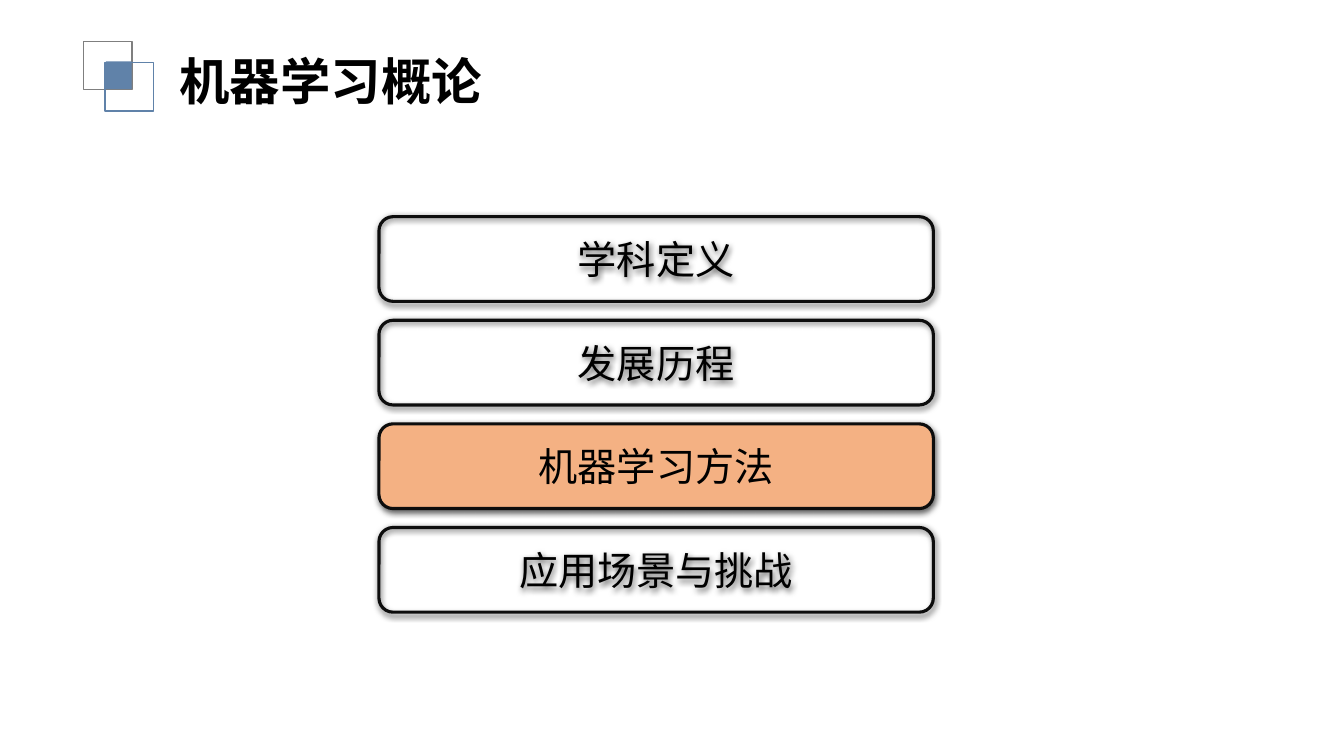
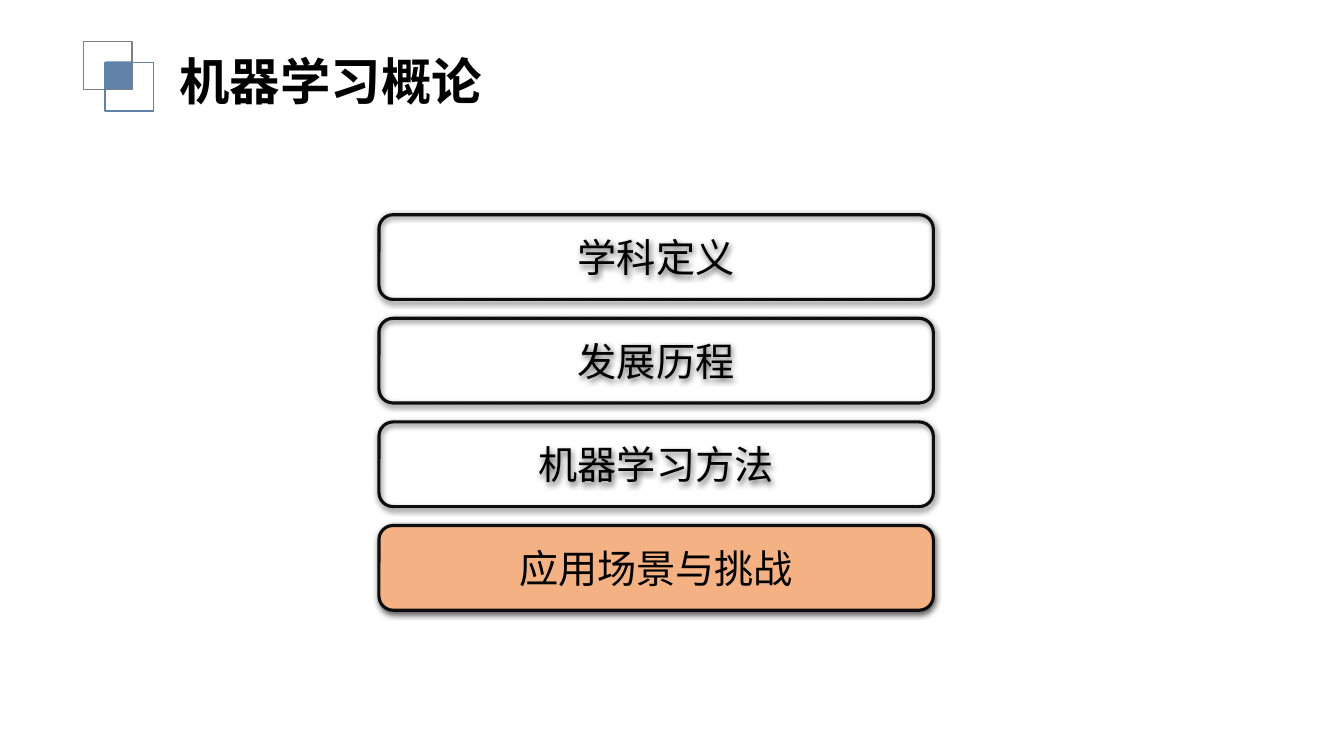
"""Build two agenda slides of a machine learning overview, each highlighting one chapter."""
import pptx
import pptx.dml.color
import pptx.enum.shapes
import pptx.enum.text
import pptx.oxml
import pptx.oxml.ns
import pptx.util

Pt = pptx.util.Pt
FONT = "Noto Sans CJK SC"
BLACK, OUTLINE, HIGHLIGHT = "000000", "0D0D0D", "F4B183"
BLUE, GRAY = "6082A9", "7F7F7F"
SHADOW = (
    f'<a:effectLst {pptx.oxml.ns.nsdecls("a")}>'
    f'<a:outerShdw blurRad="{Pt(4.5)}" dist="{Pt(1.5)}" dir="5400000" rotWithShape="0">'
    f'<a:srgbClr val="{BLACK}"><a:alpha val="63000"/></a:srgbClr>'
    "</a:outerShdw></a:effectLst>"
)
TITLE = "机器学习概论"
CHAPTERS = ["学科定义", "发展历程", "机器学习方法", "应用场景与挑战"]
BOX_LEFT, BOX_WIDTH, BOX_HEIGHT, BOX_PITCH = 270.7, 396, 60.5, 74


def add_box(slide, preset, bounds, fill=None, line=None, line_width=1):
    shape = slide.shapes.add_shape(preset, *[Pt(value) for value in bounds])
    shape.shadow.inherit = False
    for part, color in ((shape.fill, fill), (shape.line.fill, line)):
        if color:
            part.solid()
            part.fore_color.rgb = pptx.dml.color.RGBColor.from_string(color)
        else:
            part.background()
    if line:
        shape.line.width = Pt(line_width)
    return shape


def write_line(shape, text, size, alignment, bold=False):
    frame = shape.text_frame
    frame.text = text
    frame.word_wrap = True
    frame.vertical_anchor = pptx.enum.text.MSO_ANCHOR.MIDDLE
    paragraph = frame.paragraphs[0]
    paragraph.alignment = alignment
    font = paragraph.runs[0].font
    font.size = Pt(size)
    font.bold = bold
    font.color.rgb = pptx.dml.color.RGBColor.from_string(BLACK)
    font.name = FONT
    east_asian = pptx.oxml.parse_xml(f'<a:ea {pptx.oxml.ns.nsdecls("a")} typeface="{FONT}"/>')
    paragraph.runs[0].font.fill
    properties = paragraph.runs[0]._r.get_or_add_rPr()
    properties.find(pptx.oxml.ns.qn("a:latin")).addnext(east_asian)


presentation = pptx.Presentation()
presentation.slide_width, presentation.slide_height = Pt(960), Pt(540)
layout = presentation.slide_layouts.get_by_name("Title Only")
layout_title = layout.placeholders[0]
layout_title.left, layout_title.top = Pt(121), Pt(31.7)
layout_title.width, layout_title.height = Pt(255), Pt(51)

presets = pptx.enum.shapes.MSO_SHAPE
alignments = pptx.enum.text.PP_ALIGN
slides = [presentation.slides.add_slide(layout) for _ in range(2)]

for bounds, fill, line in [
    ((59.8, 29.5, 34.6, 34.6), None, GRAY),
    ((74.9, 44.6, 34.6, 34.6), None, BLUE),
    ((75.6, 43.9, 18.4, 19.8), BLUE, None),
]:
    square = add_box(slides[0], presets.RECTANGLE, bounds, fill, line)
    layout.shapes.element.append(square.element)

for slide, first_top, current in zip(slides, (154.8, 153.4), (2, 3)):
    write_line(slide.shapes.title, TITLE, 36, alignments.LEFT, bold=True)
    for index, chapter in enumerate(CHAPTERS):
        bounds = (BOX_LEFT, first_top + index * BOX_PITCH, BOX_WIDTH, BOX_HEIGHT)
        fill = HIGHLIGHT if index == current else None
        box = add_box(slide, presets.ROUNDED_RECTANGLE, bounds, fill, OUTLINE, 2.25)
        effects = box.element.spPr.find(pptx.oxml.ns.qn("a:effectLst"))
        effects.getparent().replace(effects, pptx.oxml.parse_xml(SHADOW))
        write_line(box, chapter, 28, alignments.CENTER)

presentation.save("out.pptx")
